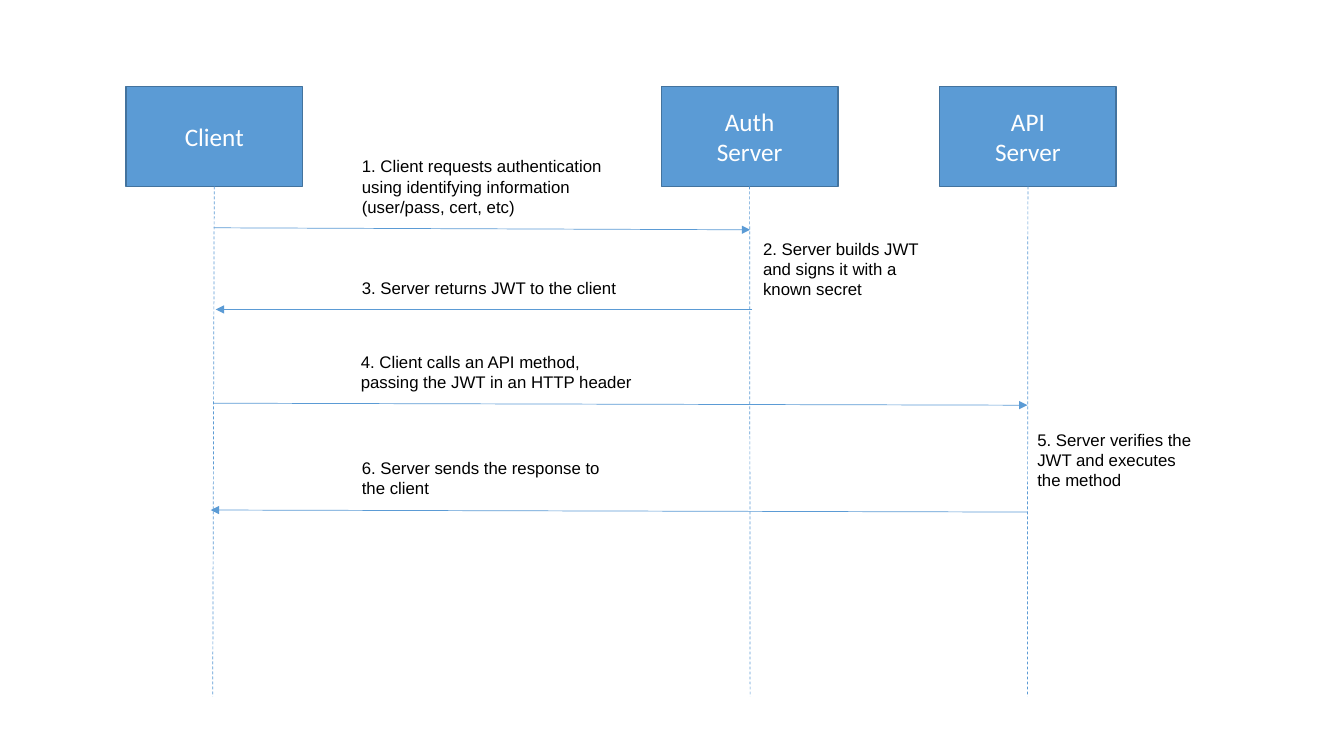
from lxml.etree import SubElement
from pptx import Presentation
from pptx.dml.color import RGBColor
from pptx.enum.dml import MSO_LINE
from pptx.enum.shapes import MSO_CONNECTOR, MSO_SHAPE
from pptx.enum.text import MSO_ANCHOR, MSO_AUTO_SIZE, PP_ALIGN
from pptx.oxml.ns import qn
from pptx.util import Inches, Pt


def rgb(value):
    return RGBColor.from_string(value)


class SequenceDiagram:
    BLUE, EDGE, WHITE, BLACK = "5B9BD5", "43739E", "FFFFFF", "000000"
    BOX_TOP, BOX_W, BOX_H = 0.86, 1.75, 0.99

    def __init__(self, slide):
        self.slide = slide

    def set_text(self, tf, text, font, size, color, align):
        tf.word_wrap = True
        tf.text = text
        for p in tf.paragraphs:
            p.alignment = align
            for r in p.runs:
                r.font.name = font
                r.font.size = Pt(size)
                r.font.color.rgb = rgb(color)

    def participant(self, name, left):
        sp = self.slide.shapes.add_shape(
            MSO_SHAPE.RECTANGLE, Inches(left), Inches(self.BOX_TOP),
            Inches(self.BOX_W), Inches(self.BOX_H))
        sp.shadow.inherit = False
        sp.fill.solid()
        sp.fill.fore_color.rgb = rgb(self.BLUE)
        sp.line.color.rgb = rgb(self.EDGE)
        sp.line.width = Pt(1)
        sp.text_frame.vertical_anchor = MSO_ANCHOR.MIDDLE
        self.set_text(sp.text_frame, name, "Calibri", 18, self.WHITE, PP_ALIGN.CENTER)
        return sp

    def line(self, x1, y1, x2, y2):
        cx = self.slide.shapes.add_connector(
            MSO_CONNECTOR.STRAIGHT, Inches(x1), Inches(y1), Inches(x2), Inches(y2))
        cx.line.color.rgb = rgb(self.BLUE)
        cx.line.width = Pt(0.5)
        SubElement(cx._element.spPr, qn("a:effectLst"))
        return cx

    def lifeline(self, box, x, bottom):
        cx = self.line(x, self.BOX_TOP + self.BOX_H, x, bottom)
        cx.line.dash_style = MSO_LINE.DASH
        cx.begin_connect(box, 2)

    def message(self, x1, y1, x2, y2):
        cx = self.line(x1, y1, x2, y2)
        ln = cx._element.spPr.find(qn("a:ln"))
        SubElement(ln, qn("a:tailEnd"), type="triangle")

    def label(self, text, left, top, width, height):
        sp = self.slide.shapes.add_textbox(
            Inches(left), Inches(top), Inches(width), Inches(height))
        self.set_text(sp.text_frame, text, "Arial", 12, self.BLACK, PP_ALIGN.LEFT)
        sp.text_frame.auto_size = MSO_AUTO_SIZE.SHAPE_TO_FIT_TEXT


def main():
    prs = Presentation()
    prs.slide_width, prs.slide_height = Inches(13.33), Inches(7.5)
    s = SequenceDiagram(prs.slides.add_slide(prs.slide_layouts[6]))

    # Participants with their lifelines
    for name, left, foot in [("Client", 1.25, 2.11),
                             ("Auth\nServer", 6.56, 7.44),
                             ("API\nServer", 9.32, 10.19)]:
        s.lifeline(s.participant(name, left), foot, 6.91)

    # Messages, each from sender to receiver
    for ends in [(2.12, 2.26, 7.44, 2.28),
                 (7.46, 3.07, 2.14, 3.07),
                 (2.12, 4, 10.19, 4.02),
                 (10.19, 5.08, 2.09, 5.06)]:
        s.message(*ends)

    # Numbered steps
    for step in [
        ("1. Client requests authentication using identifying information "
         "(user/pass, cert, etc)", 3.49, 1.5, 2.71, 0.71),
        ("2. Server builds JWT and signs it with a known secret",
         7.47, 2.32, 1.84, 0.71),
        ("3. Server returns JWT to the client", 3.49, 2.71, 3.1, 0.3),
        ("4. Client calls an API method, passing the JWT in an HTTP header",
         3.48, 3.44, 2.92, 0.5),
        ("5. Server verifies the JWT and executes the method",
         10.19, 4.21, 1.8, 0.71),
        ("6. Server sends the response to the client", 3.49, 4.49, 2.58, 0.5),
    ]:
        s.label(*step)

    prs.save("out.pptx")


if __name__ == "__main__":
    main()
